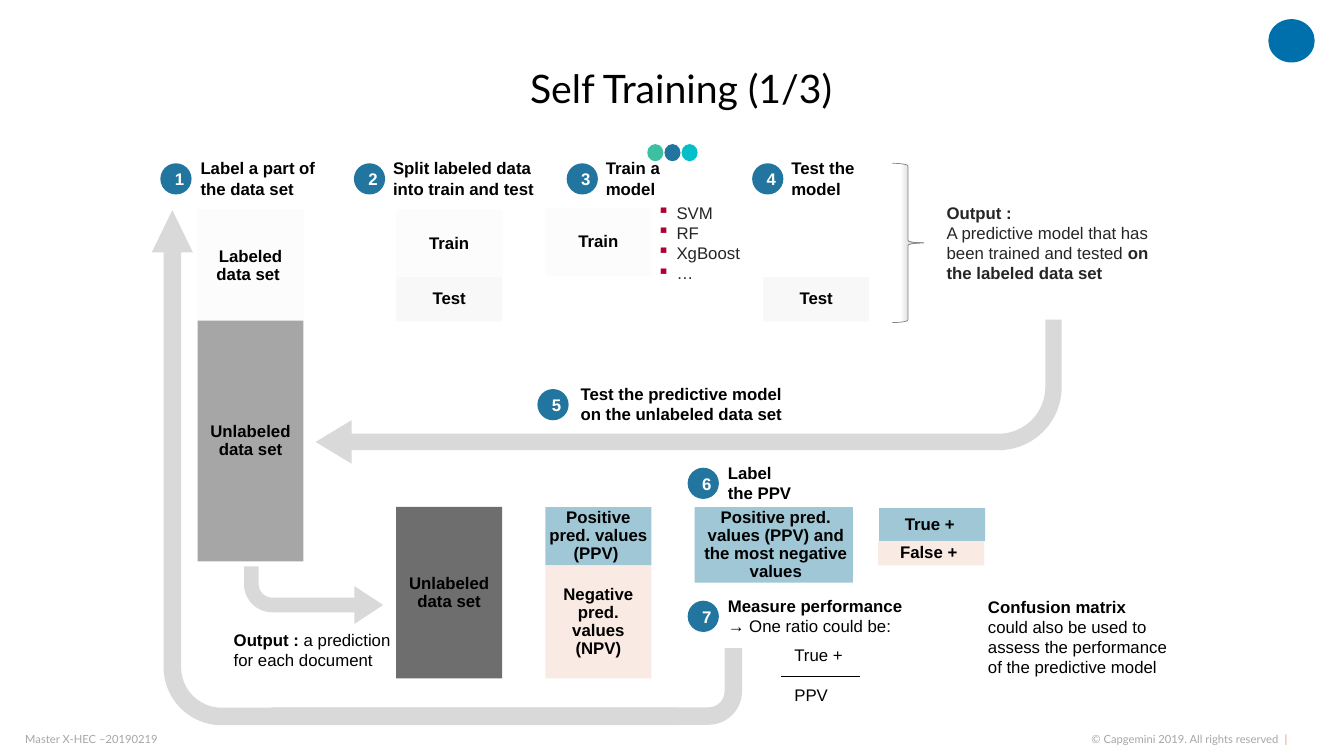
import pptx
import pptx.util
import pptx.dml.color
import pptx.enum.shapes
import pptx.enum.text
import lxml.etree
import pptx.oxml.ns

Inches = pptx.util.Inches
Pt = pptx.util.Pt
RGBColor = pptx.dml.color.RGBColor
SHAPE = pptx.enum.shapes.MSO_SHAPE
ALIGN = pptx.enum.text.PP_ALIGN
ANCHOR = pptx.enum.text.MSO_ANCHOR
qn = pptx.oxml.ns.qn

BLACK = RGBColor(0x00, 0x00, 0x00)
WHITE = RGBColor(0xFF, 0xFF, 0xFF)
DARK = RGBColor(0x26, 0x26, 0x26)
GREY = RGBColor(0x80, 0x80, 0x80)
MID = RGBColor(0xA6, 0xA6, 0xA6)
DIM = RGBColor(0x6E, 0x6E, 0x6E)
PALE = RGBColor(0xD9, 0xD9, 0xD9)
SNOW = RGBColor(0xFC, 0xFC, 0xFC)
MIST = RGBColor(0xF8, 0xF8, 0xF8)
BLUE = RGBColor(0x22, 0x75, 0x9E)
SKY = RGBColor(0x9F, 0xC7, 0xD5)
PEACH = RGBColor(0xF9, 0xEA, 0xE3)
RUST = RGBColor(0xE3, 0x97, 0x74)
GREEN = RGBColor(0x3D, 0xBF, 0xA1)
TEAL = RGBColor(0x04, 0xBF, 0xC8)
LOGO = RGBColor(0x00, 0x70, 0xAD)

TITLE = "Self Training (1/3)"
DATE = "Master X-HEC –20190219"
RIGHTS = "© Capgemini 2019. All rights reserved  "
MODELS = ["SVM", "RF", "XgBoost", "…"]
DOTS = [GREEN, BLUE, TEAL]

SIDE = 0.1
BOXES = [
    ("Labeled data set ", 1.96, 2.08, 1.05, 1.11, SNOW, SIDE, SIDE),
    ("Unlabeled data set", 1.96, 3.18, 1.05, 2.39, MID, SIDE, SIDE),
    ("Train", 3.93, 2.08, 1.05, 0.68, SNOW, SIDE, SIDE),
    ("Test", 3.93, 2.75, 1.05, 0.44, MIST, SIDE, SIDE),
    ("Test", 7.57, 2.75, 1.05, 0.44, MIST, SIDE, SIDE),
    ("Train", 5.41, 2.07, 1.05, 0.67, SNOW, SIDE, SIDE),
    ("Unlabeled data set", 3.93, 5.03, 1.05, 1.7, DIM, SIDE, SIDE),
    ("Positive pred. values (PPV) ", 5.41, 5.03, 1.05, 0.58, SKY, 0, 0),
    ("Negative pred. values (NPV)", 5.41, 5.61, 1.05, 1.12, PEACH, SIDE, SIDE),
    ("Positive pred. values (PPV) and the most negative values",
     6.89, 5.03, 1.57, 0.75, SKY, 0.04, 0),
    ("True + ", 8.72, 5.04, 1.05, 0.33, SKY, SIDE, SIDE),
    ("False + ", 8.71, 5.37, 1.05, 0.24, PEACH, SIDE, SIDE),
]

STEPS = [
    (1.59, 1.62, 0.3, 1.48, [("Label a part of the data set", True)]),
    (3.51, 1.62, 0.29, 1.6, [("Split labeled data into train and test", True)]),
    (5.62, 1.62, 0.29, 1.18, [("Train a model", True)]),
    (7.46, 1.62, 0.29, 0.99, [("Test the model", True)]),
    (5.33, 3.86, 0.33, 3.7,
     [("Test the predictive model\non the unlabeled data set", True)]),
    (6.82, 4.64, 0.3, 0.91, [("Label the PPV", True)]),
    (6.82, 5.96, 0.3, 2.05,
     [("Measure performance\n", True), ("→ One ratio could be:", False)]),
]

NOTES = [
    (9.29, 1.96, 2.29, 0.91, DARK,
     [("Output :\n", True),
      ("A predictive model that has been trained and tested ", False),
      ("on the labeled data set", True)]),
    (2.22, 6.2, 1.97, 0.5, BLACK,
     [("Output :", True), (" a prediction for each document", False)]),
    (7.78, 6.35, 0.71, 0.3, BLACK, [("True +", False)]),
    (7.78, 6.74, 0.71, 0.3, BLACK, [("PPV", False)]),
    (9.7, 5.87, 2.01, 0.91, BLACK,
     [("Confusion matrix ", True),
      ("could also be used to assess the performance of the predictive model",
       False)]),
]

ARROWS = [
    (3.13, 3.17, 7.4, 1.43, 180, False, (0.114, 0.151, 0.25, 0.438)),
    (2.42, 5.62, 1.38, 0.57, 0, True, (0.255, 0.329, 0.5, 0.49)),
    (2.42, 6.43, 4.94, 0.76, 180, False, (0.228, 0.114, 0.373, 0.438)),
    (1.55, 2.04, 5.11, 5.2, 270, False, (0.034, 0.04, 0.082, 0.113)),
]

deck = pptx.Presentation()
deck.slide_width, deck.slide_height = Inches(13.33), Inches(7.5)
slide = deck.slides.add_slide(deck.slide_layouts[6])
shapes = slide.shapes


def style(para, size, color, face="Arial", bold=None):
    font = para.font
    font.size, font.name, font.bold = Pt(size), face, bold
    font.color.rgb = color


def write(para, runs, size, color, face="Arial"):
    same = len({bold for _, bold in runs}) == 1
    style(para, size, color, face, runs[0][1] if same else None)
    for text, bold in runs:
        for i, line in enumerate(text.split("\n")):
            if i:
                para.add_line_break()
            if line:
                run = para.add_run()
                run.text = line
                if not same:
                    run.font.bold = bold


def pad(frame, left, top, right, low):
    frame.margin_left, frame.margin_top = Inches(left), Inches(top)
    frame.margin_right, frame.margin_bottom = Inches(right), Inches(low)


def draw(kind, x, y, w, h, fill=None):
    shape = shapes.add_shape(kind, Inches(x), Inches(y), Inches(w), Inches(h))
    shape.shadow.inherit = False
    shape.line.fill.background()
    if fill is not None:
        shape.fill.solid()
        shape.fill.fore_color.rgb = fill
    return shape


def label(x, y, w, h, wrap=True):
    frame = shapes.add_textbox(Inches(x), Inches(y), Inches(w), Inches(h)).text_frame
    frame.word_wrap = wrap
    return frame


def center(shape, text, color):
    frame = shape.text_frame
    frame.vertical_anchor = ANCHOR.MIDDLE
    para = frame.paragraphs[0]
    para.alignment = ALIGN.CENTER
    write(para, [(text, True)], 12, color)
    return para


def foot(x, w, wrap):
    frame = label(x, 7.27, w, 0.13, wrap)
    pad(frame, 0, 0, 0, 0)
    frame.vertical_anchor = ANCHOR.MIDDLE
    return frame.paragraphs[0]


rights = foot(9.86, 2.91, True)
rights.alignment = ALIGN.RIGHT
write(rights, [(RIGHTS, False), ("|", False)], 8, MID, "Lato")
rights.runs[1].font.color.rgb = RUST
write(foot(0.25, 5.16, False), [(DATE, False)], 8, MID, "Lato")

draw(SHAPE.OVAL, 12.58, 0.19, 0.46, 0.43, LOGO)
for i, color in enumerate(DOTS):
    draw(SHAPE.OVAL, 6.42 + 0.17 * i, 1.43, 0.16, 0.17, color)

for text, x, y, w, h, fill, left, right in BOXES:
    box = draw(SHAPE.RECTANGLE, x, y, w, h, fill)
    pad(box.text_frame, left, SIDE, right, SIDE)
    center(box, text, BLACK).line_spacing = 0.9

for num, (x, y, gap, w, runs) in enumerate(STEPS, 1):
    center(draw(SHAPE.OVAL, x, y, 0.31, 0.31, BLUE), str(num), WHITE)
    write(label(x + gap, y - 0.1, w, 0.5).paragraphs[0], runs, 12, BLACK)

for x, y, w, h, color, runs in NOTES:
    write(label(x, y, w, h).paragraphs[0], runs, 12, color)

models = label(6.48, 1.96, 0.91, 0.91)
pad(models, 0, 0.05, 0, 0.05)
for i, name in enumerate(MODELS):
    para = models.add_paragraph() if i else models.paragraphs[0]
    props = para._p.get_or_add_pPr()
    props.set("marL", str(Inches(0.23)))
    props.set("indent", str(Inches(-0.19)))
    tint = lxml.etree.SubElement(props, qn("a:buClr"))
    lxml.etree.SubElement(tint, qn("a:srgbClr")).set("val", "B10034")
    lxml.etree.SubElement(props, qn("a:buChar")).set("char", "▪")
    write(para, [(name, False)], 12, DARK)

brace = draw(SHAPE.RIGHT_BRACE, 8.85, 1.62, 0.31, 1.58)
brace.fill.gradient()
brace.fill.gradient_angle = 0
for stop, (place, color) in zip(brace.fill.gradient_stops, [(0.25, WHITE), (1, MID)]):
    stop.position, stop.color.rgb = place, color
brace.line.color.rgb, brace.line.width = GREY, Pt(0.5)

for x, y, w, h, turn, flip, bends in ARROWS:
    arrow = draw(SHAPE.BENT_ARROW, x, y, w, h, PALE)
    arrow.rotation = turn
    for i, bend in enumerate(bends):
        arrow.adjustments[i] = bend
    if flip:
        arrow.element.spPr.xfrm.set("flipV", "1")

ratio = shapes.add_connector(pptx.enum.shapes.MSO_CONNECTOR.STRAIGHT,
                             Inches(7.75), Inches(6.71), Inches(8.53), Inches(6.71))
ratio.line.color.rgb, ratio.line.width = BLACK, Pt(1)
lxml.etree.SubElement(ratio.element.spPr, qn("a:effectLst"))

head = label(0.52, 0.33, 12.47, 1.14)
head.vertical_anchor = ANCHOR.MIDDLE
title = head.paragraphs[0]
title.alignment, title.line_spacing = ALIGN.CENTER, 0.9
write(title, [(TITLE, False)], 28, BLACK, "Lato")

deck.save("out.pptx")
